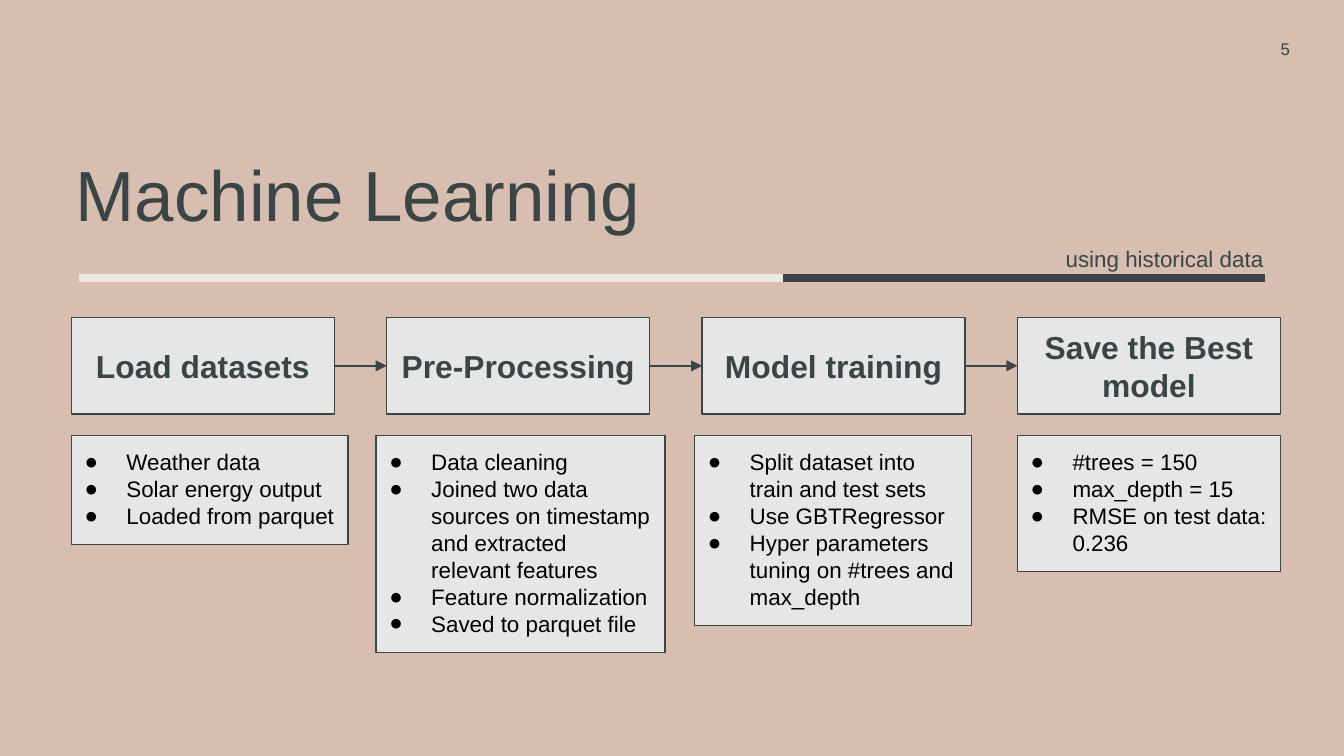
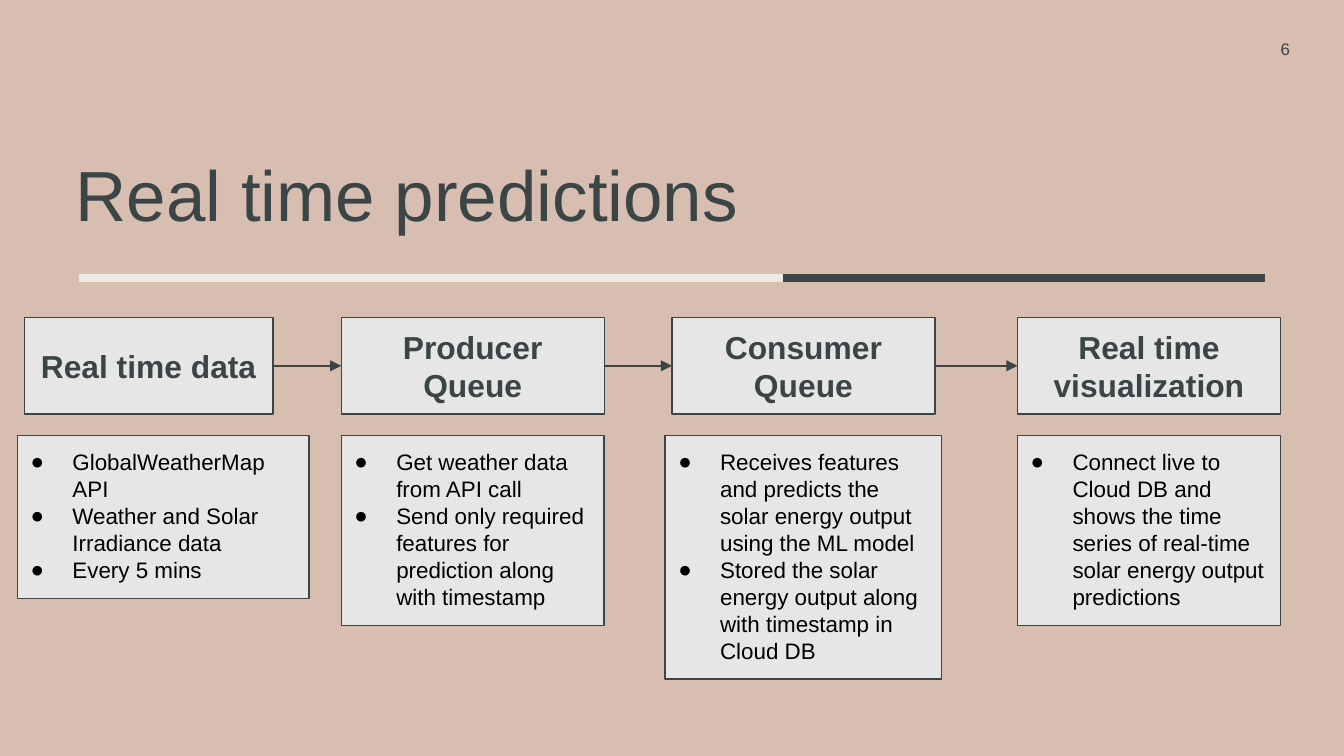
"""Build two process slides: model training and real time predictions."""
from dataclasses import dataclass

from lxml import etree
from pptx import Presentation
from pptx import util as u
from pptx.dml.color import RGBColor
from pptx.enum import shapes, text
from pptx.oxml import ns


@dataclass(frozen=True)
class Theme:
    font: str = "Arial"
    backdrop: str = "D8BEB1"
    ink: str = "3B4546"
    pale: str = "EDE9E6"
    panel: str = "E7E6E6"
    black: str = "000000"
    title: int = 38
    step: int = 17
    body: int = 12
    number: int = 9
    rule: float = 4.5
    outline: float = 0.75


theme = Theme()
LEFT, CENTER, RIGHT = text.PP_ALIGN.LEFT, text.PP_ALIGN.CENTER, text.PP_ALIGN.RIGHT
TOP, MIDDLE = text.MSO_ANCHOR.TOP, text.MSO_ANCHOR.MIDDLE


def write(shape, lines, size, color=theme.ink, bold=False, align=LEFT, anchor=TOP,
          spacing=1.0, inset=(0.18, 0.1), bullet=None):
    frame = shape.text_frame
    frame.word_wrap = True
    frame.auto_size = text.MSO_AUTO_SIZE.NONE
    frame.vertical_anchor = anchor
    frame.margin_left = frame.margin_right = u.Cm(inset[0])
    frame.margin_top = frame.margin_bottom = u.Cm(inset[1])
    frame.text = "\n".join(lines)
    for paragraph in frame.paragraphs:
        paragraph.alignment = align
        paragraph.line_spacing = spacing
        paragraph.space_before = paragraph.space_after = u.Pt(0)
        font = paragraph.runs[0].font
        font.name, font.size, font.bold = theme.font, u.Pt(size), bold
        font.color.rgb = RGBColor.from_string(color)
        props = paragraph._p.get_or_add_pPr()
        props.set("marL", str(u.Cm(0.79) if bullet else 0))
        props.set("indent", str(u.Cm(-0.84) if bullet else 0))
        if bullet:
            tint = etree.SubElement(props, ns.qn("a:buClr"))
            etree.SubElement(tint, ns.qn("a:srgbClr"), val=color)
            etree.SubElement(props, ns.qn("a:buFont"), typeface=theme.font)
            etree.SubElement(props, ns.qn("a:buChar"), char=bullet)
        else:
            etree.SubElement(props, ns.qn("a:buNone"))


def draw_line(slide, start, end, color, width):
    line = slide.shapes.add_connector(
        shapes.MSO_CONNECTOR.STRAIGHT, *(u.Cm(value) for value in (*start, *end)))
    line.line.color.rgb = RGBColor.from_string(color)
    line.line.width = u.Pt(width)
    etree.SubElement(line._element.spPr, ns.qn("a:effectLst"))
    return line


STEP_TOP, STEP_HEIGHT, STEP_WIDTH = 6.0, 1.83, 4.97
LIST_TOP, LIST_PADDING, LIST_LINE = 8.23, 0.53, 0.51
RULE_Y = 5.26

# Each stage: step left, step width, heading, list left, list width, list lines, items
training = [
    (["Load datasets"], 1.35, STEP_WIDTH, 1.35, 5.23, 3,
     ["Weather data", "Solar energy output", "Loaded from parquet"]),
    (["Pre-Processing"], 7.31, STEP_WIDTH, 7.11, 5.46, 7,
     ["Data cleaning",
      "Joined two data sources on timestamp and extracted relevant features",
      "Feature normalization", "Saved to parquet file"]),
    (["Model training"], 13.27, STEP_WIDTH, 13.13, 5.23, 6,
     ["Split dataset into train and test sets", "Use GBTRegressor",
      "Hyper parameters tuning on #trees and max_depth"]),
    (["Save the Best model"], 19.23, STEP_WIDTH, 19.23, STEP_WIDTH, 4,
     ["#trees = 150", "max_depth = 15", "RMSE on test data: 0.236"]),
]
predictions = [
    (["Real time data"], 0.46, 4.7, 0.33, 5.51, 5,
     ["GlobalWeatherMap API", "Weather and Solar Irradiance data", "Every 5 mins"]),
    (["Producer", "Queue"], 6.45, STEP_WIDTH, 6.45, STEP_WIDTH, 6,
     ["Get weather data from API call",
      "Send only required features for prediction along with timestamp"]),
    (["Consumer", "Queue"], 12.7, STEP_WIDTH, 12.57, 5.23, 8,
     ["Receives features and predicts the solar energy output using the ML model",
      "Stored the solar energy output along with timestamp in Cloud DB"]),
    (["Real time visualization"], 19.23, STEP_WIDTH, 19.23, STEP_WIDTH, 6,
     ["Connect live to Cloud DB and shows the time series of real-time "
      "solar energy output predictions"]),
]
pages = [
    ("5", "Machine Learning", "using historical data", training),
    ("6", "Real time predictions", None, predictions),
]

deck = Presentation()
deck.slide_width, deck.slide_height = u.Cm(25.4), u.Cm(14.29)
backdrop = deck.slide_master.background.fill
backdrop.solid()
backdrop.fore_color.rgb = RGBColor.from_string(theme.backdrop)
comparison = deck.slide_layouts.get_by_name("Comparison")

for number, heading, subtitle, stages in pages:
    slide = deck.slides.add_slide(comparison)
    draw_line(slide, (1.5, RULE_Y), (14.79, RULE_Y), theme.pale, theme.rule)
    draw_line(slide, (14.79, RULE_Y), (23.9, RULE_Y), theme.ink, theme.rule)

    page_number = slide.shapes.add_textbox(u.Cm(21.08), u.Cm(0.64), u.Cm(3.48), u.Cm(0.58))
    write(page_number, [number], theme.number, align=RIGHT, anchor=MIDDLE)

    title = slide.shapes.title
    title.left, title.top, title.width, title.height = (
        u.Cm(1.25), u.Cm(3.05), u.Cm(22.66), u.Cm(1.47))
    write(title, [heading], theme.title, spacing=0.8)

    if subtitle:
        caption = slide.shapes.add_textbox(u.Cm(19.89), u.Cm(4.39), u.Cm(5), u.Cm(0.85))
        write(caption, [subtitle], theme.body, inset=(0.25, 0.25))

    previous, previous_end = None, 0
    bodies = list(slide.placeholders)[1:]
    for step, (name, left, width, list_left, list_width, lines, items) in zip(bodies, stages):
        step.left, step.top, step.width, step.height = (
            u.Cm(left), u.Cm(STEP_TOP), u.Cm(width), u.Cm(STEP_HEIGHT))
        write(step, name, theme.step, bold=True, align=CENTER, anchor=MIDDLE)

        details = slide.shapes.add_shape(
            shapes.MSO_SHAPE.RECTANGLE, u.Cm(list_left), u.Cm(LIST_TOP),
            u.Cm(list_width), u.Cm(LIST_PADDING + LIST_LINE * lines))
        details.shadow.inherit = False
        write(details, items, theme.body, color=theme.black, inset=(0.25, 0.25), bullet="●")

        for panel in (step, details):
            panel.fill.solid()
            panel.fill.fore_color.rgb = RGBColor.from_string(theme.panel)
            panel.line.color.rgb = RGBColor.from_string(theme.ink)
            panel.line.width = u.Pt(theme.outline)

        if previous:
            middle = STEP_TOP + STEP_HEIGHT / 2
            arrow = draw_line(slide, (previous_end, middle), (left, middle),
                              theme.ink, theme.outline)
            arrow.begin_connect(previous, 3)
            arrow.end_connect(step, 1)
            etree.SubElement(arrow.line._get_or_add_ln(), ns.qn("a:tailEnd"), type="triangle")
        previous, previous_end = step, left + width

deck.save("out.pptx")
